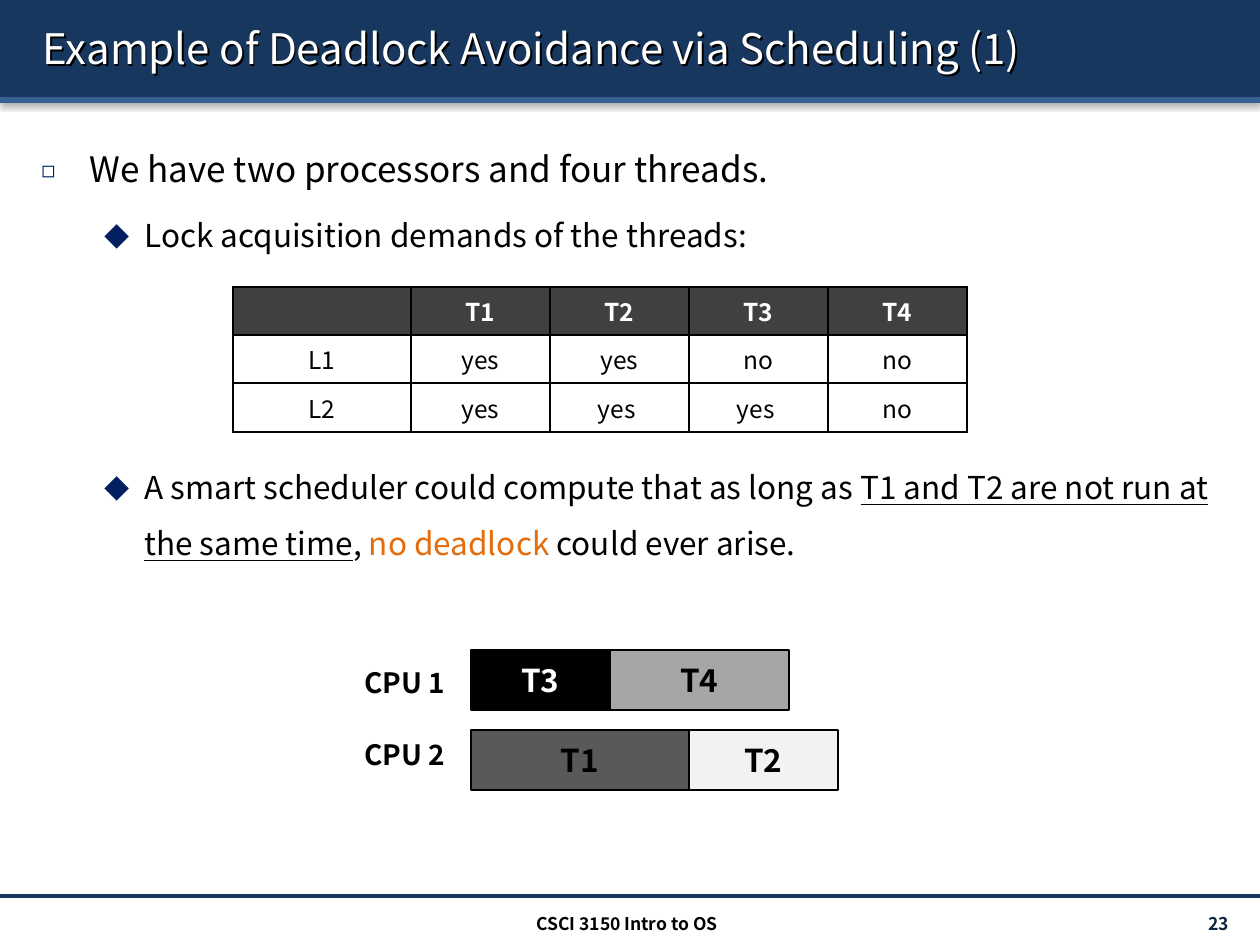
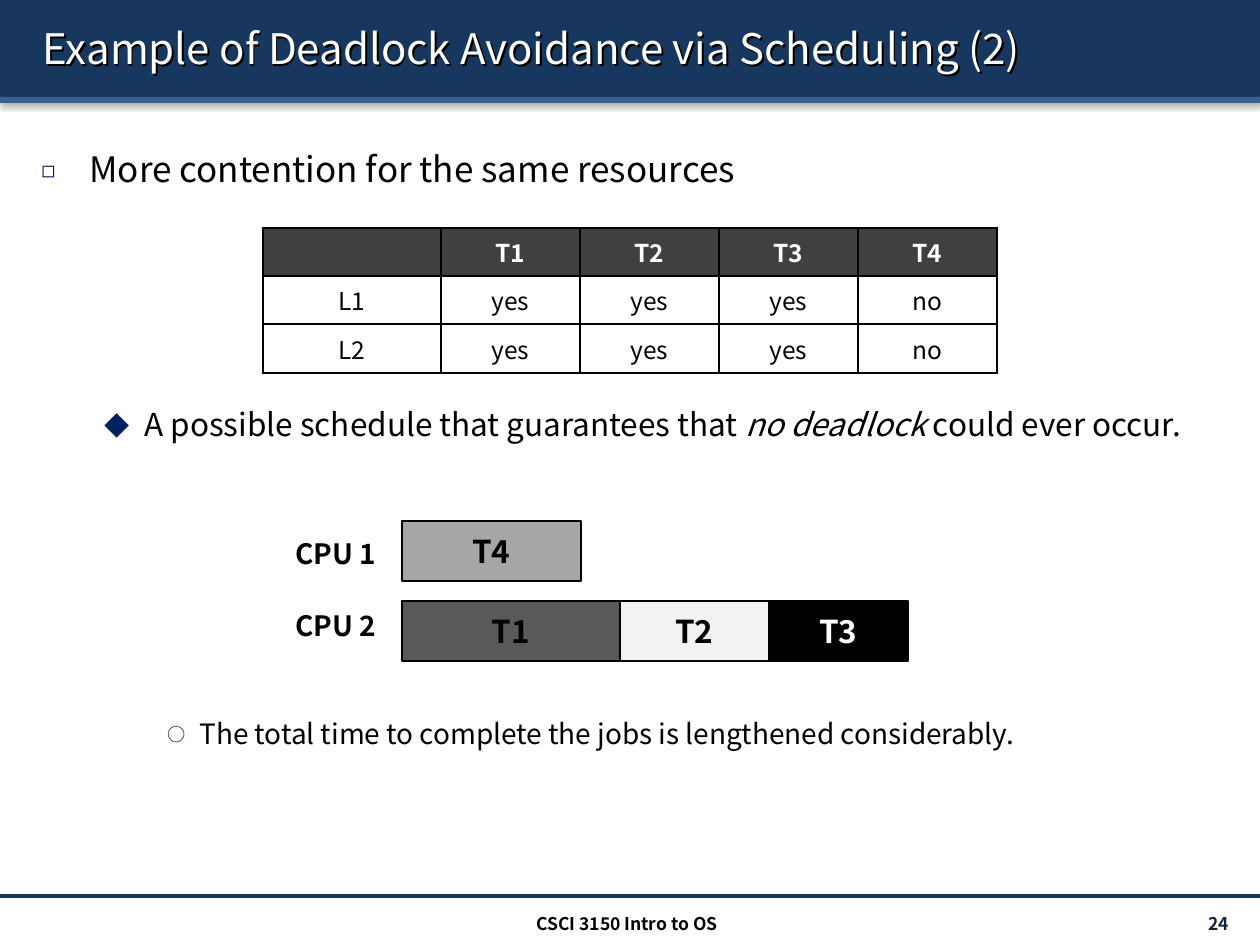
from dataclasses import dataclass

from lxml.etree import SubElement
from pptx import Presentation
from pptx.dml.color import RGBColor
from pptx.enum.shapes import MSO_CONNECTOR, MSO_SHAPE
from pptx.enum.text import MSO_ANCHOR, PP_ALIGN
from pptx.oxml.ns import qn
from pptx.util import Emu, Pt


@dataclass(frozen=True)
class Theme:
    face: str = "Noto Sans CJK KR"
    navy: str = "17375E"
    blue: str = "376092"
    mark: str = "002060"
    page: str = "0F243E"
    head: str = "404040"
    black: str = "000000"
    white: str = "FFFFFF"
    orange: str = "E46C0A"
    title: int = 24
    foot: int = 10
    cell: int = 14
    label: int = 16
    block: int = 18
    lead: int = 32  # line pitch of the body, in points


T = Theme()

# Bullet levels: text indent, hang (px), type size, mark, mark size (%)
LEVELS = [
    (48, 48, 20, "◻", 65),
    (103, 40, 18, "◆", 80),
    (158, 32, 16, "○", 65),
]

# Thread blocks: width (px), fill, text colour
BLOCKS = {
    "T1": (218, "595959", T.black),
    "T2": (149, "F2F2F2", T.black),
    "T3": (139, T.black, T.white),
    "T4": (179, "A6A6A6", T.black),
}


def px(n):
    return Emu(round(n * 914400 / 126))


def area(*box):
    return [px(n) for n in box]


def rgb(code):
    return RGBColor.from_string(code)


def style(font, size, color, bold=False):
    font.name = T.face
    font.size = Pt(size)
    font.bold = bold
    font.color.rgb = rgb(color)


def shade(shape, blur, dist, angle, alpha):
    """Add an outer shadow; lengths in points, angle in degrees."""
    effects = SubElement(shape._element.spPr, qn("a:effectLst"))
    outer = SubElement(effects, qn("a:outerShdw"), blurRad=str(Pt(blur)),
                       dist=str(Pt(dist)), dir=str(angle * 60000))
    color = SubElement(outer, qn("a:srgbClr"), val=T.black)
    SubElement(color, qn("a:alpha"), val=str(alpha * 1000))


def rect(slide, box, fill):
    shape = slide.shapes.add_shape(MSO_SHAPE.RECTANGLE, *area(*box))
    shape.fill.solid()
    shape.fill.fore_color.rgb = rgb(fill)
    return shape


def write(shape, text, size, color, align=PP_ALIGN.LEFT, wrap=True):
    frame = shape.text_frame
    frame.word_wrap = wrap
    frame.margin_top = frame.margin_bottom = 0
    frame.vertical_anchor = MSO_ANCHOR.MIDDLE
    para = frame.paragraphs[0]
    para.text = text
    para.alignment = align
    style(para.font, size, color, True)


def note(slide, box, *args, **more):
    write(slide.shapes.add_textbox(*area(*box)), *args, **more)


# Bands, title and footer
def header(slide, text):
    for top, height, fill in [(0, 97, T.navy), (97, 6, T.blue)]:
        band = rect(slide, (0, top, 1260, height), fill)
        band.line.fill.background()
        shade(band, 3.1, 1.6, 90, 38)
    title = slide.shapes.title
    slide.shapes._spTree.append(title._element)  # in front of the bands
    title.left, title.top, title.width, title.height = area(30, 7, 1211, 81)
    # With no fill or line, the shape's shadow falls from its letters
    title.fill.background()
    title.line.fill.background()
    shade(title, 0, 1.5, 45, 100)
    frame = title.text_frame
    frame.vertical_anchor = MSO_ANCHOR.MIDDLE
    para = frame.paragraphs[0]
    para.text = text
    para.alignment = PP_ALIGN.LEFT
    style(para.font, T.title, T.white)


def footer(slide, number):
    rule = slide.shapes.add_connector(MSO_CONNECTOR.STRAIGHT,
                                      *area(0, 896, 1260, 896))
    rule.line.color.rgb = rgb(T.navy)
    rule.line.width = Pt(2)
    SubElement(rule._element.spPr, qn("a:effectLst"))
    note(slide, (1098, 908, 147, 30), f"{number} ", T.foot, T.page,
         PP_ALIGN.RIGHT)
    note(slide, (418, 908, 418, 30), "CSCI 3150 Intro to OS", T.foot, T.black,
         PP_ALIGN.CENTER)


# Bulleted text
def bullet(para, level):
    left, hang, size, mark, scale = LEVELS[level]
    props = para._p.get_or_add_pPr()
    props.set("marL", str(px(left)))
    props.set("indent", str(-px(hang)))
    color = SubElement(props, qn("a:buClr"))
    SubElement(color, qn("a:srgbClr"), val=T.mark)
    SubElement(props, qn("a:buSzPct"), val=str(scale * 1000))
    SubElement(props, qn("a:buFont"), typeface=T.face)
    SubElement(props, qn("a:buChar"), char=mark)
    style(para.font, size, T.black)


def body(slide, box, items):
    """Each item: level, gap above (px), runs of (text, look)."""
    frame = slide.shapes.add_textbox(*area(*box)).text_frame
    frame.word_wrap = True
    frame.margin_top = frame.margin_bottom = 0
    for i, (level, gap, runs) in enumerate(items):
        para = frame.add_paragraph() if i else frame.paragraphs[0]
        bullet(para, level)
        para.line_spacing = Pt(T.lead)
        if gap:
            para.space_before = px(gap)
        for text, look in runs:
            run = para.add_run()
            run.text = text
            if look == "under":
                run.font.underline = True
            elif look == "slant":
                run.font.italic = True
            elif look:
                run.font.color.rgb = rgb(look)


# Lock demand table
def border(cell):
    props = cell._tc.get_or_add_tcPr()
    for i, side in enumerate(("lnL", "lnR", "lnT", "lnB")):
        line = props.makeelement(qn(f"a:{side}"), {"w": str(Pt(1))})
        fill = SubElement(line, qn("a:solidFill"))
        SubElement(fill, qn("a:srgbClr"), val=T.black)
        props.insert(i, line)


def demands(slide, left, top, rows):
    wide = [178] + [139] * 4
    high = [48, 48, 49]
    table = slide.shapes.add_table(
        len(high), len(wide), *area(left, top, sum(wide), sum(high))).table
    table.horz_banding = False
    for col, width in zip(table.columns, wide):
        col.width = px(width)
    grid = [["", "T1", "T2", "T3", "T4"], *rows]
    for r, texts in enumerate(grid):
        table.rows[r].height = px(high[r])
        for c, text in enumerate(texts):
            cell = table.cell(r, c)
            cell.margin_top = cell.margin_bottom = 0
            cell.vertical_anchor = MSO_ANCHOR.MIDDLE
            cell.fill.solid()
            cell.fill.fore_color.rgb = rgb(T.white if r else T.head)
            border(cell)
            para = cell.text_frame.paragraphs[0]
            para.text = text
            para.alignment = PP_ALIGN.CENTER
            style(para.font, T.cell, T.black if r else T.white, not r)


# CPU schedule
def schedule(slide, left, top, lanes):
    for i, names in enumerate(lanes):
        note(slide, (left - 119, top + 6 + 72 * i, 108, 53), f"CPU {i + 1}",
             T.label, T.black, wrap=False)
        x = left
        for name in names:
            width, fill, color = BLOCKS[name]
            block = rect(slide, (x, top + 80 * i, width, 60), fill)
            block.shadow.inherit = False
            block.line.color.rgb = rgb(T.black)
            block.line.width = Pt(0.75)
            write(block, name, T.block, color, PP_ALIGN.CENTER)
            x += width


def page(deck, number, title, items, table, lanes):
    slide = deck.slides.add_slide(deck.slide_layouts[5])
    header(slide, title)
    body(slide, (29, 134, 1211, 740), items)
    footer(slide, number)
    demands(slide, *table)
    schedule(slide, *lanes)


def main():
    deck = Presentation()
    deck.slide_width, deck.slide_height = area(1260, 945)
    name = "Example of Deadlock Avoidance via Scheduling"
    page(
        deck, 23, f"{name} (1)",
        [
            (0, 0, [("We have two processors and four threads.", None)]),
            (1, 8, [("Lock acquisition demands of the threads:", None)]),
            (1, 196, [
                ("A smart scheduler could compute that as long as ", None),
                ("T1 and T2 are not run at the same time", "under"),
                (", ", None),
                ("no deadlock ", T.orange),
                ("could ever arise.", None),
            ]),
        ],
        (233, 287, [["L1", "yes", "yes", "no", "no"],
                    ["L2", "yes", "yes ", "yes ", "no"]]),
        (471, 650, [["T3", "T4"], ["T1", "T2"]]),
    )
    page(
        deck, 24, f"{name} (2)",
        [
            (0, 0, [("More contention for the same resources", None)]),
            (1, 197, [
                ("A possible schedule that guarantees that ", None),
                ("no deadlock ", "slant"),
                ("could ever occur.", None),
            ]),
            (2, 251, [("The total time to complete the jobs is lengthened "
                       "considerably.", None)]),
        ],
        (263, 228, [["L1", "yes", "yes", "yes", "no"],
                    ["L2", "yes", "yes", "yes", "no"]]),
        (402, 521, [["T4"], ["T1", "T2", "T3"]]),
    )
    deck.save("out.pptx")


if __name__ == "__main__":
    main()
